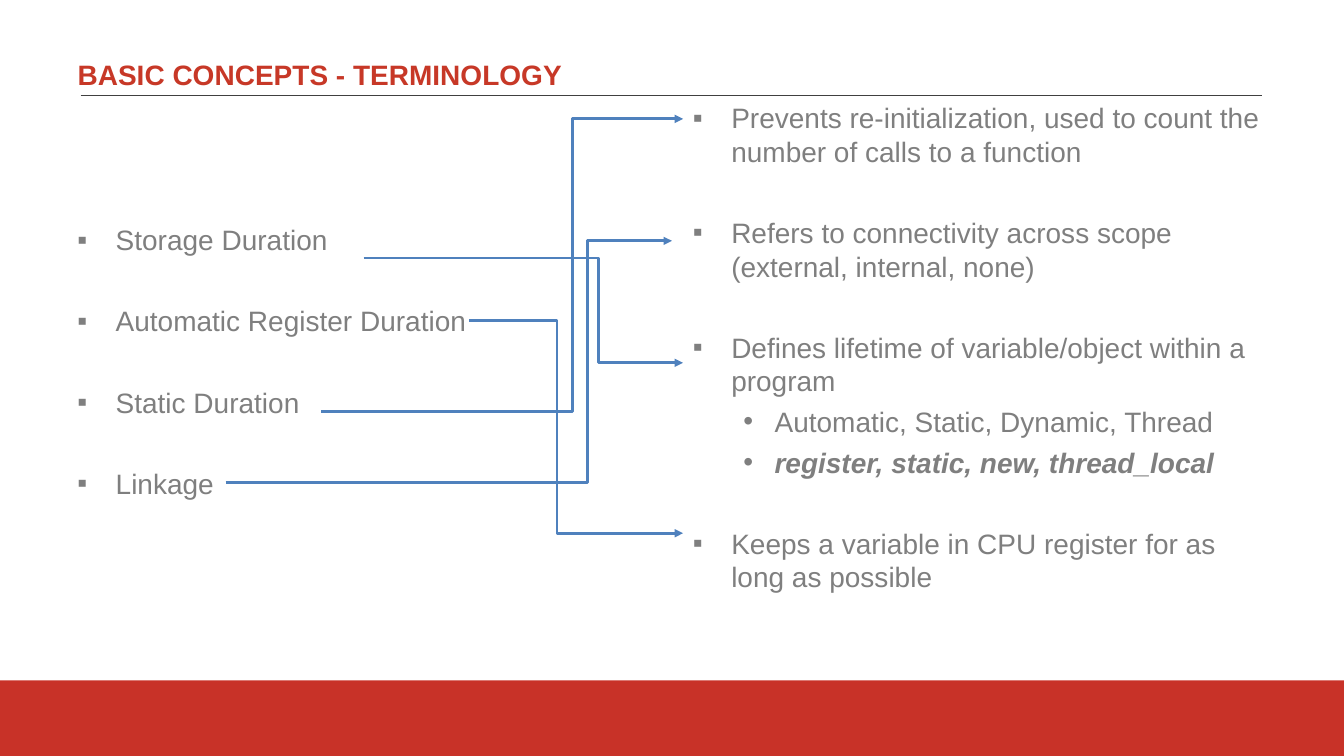
from lxml.etree import SubElement
from pptx import Presentation
from pptx.dml.color import RGBColor
from pptx.enum.shapes import MSO_CONNECTOR, MSO_SHAPE
from pptx.enum.text import MSO_ANCHOR, PP_ALIGN
from pptx.oxml.ns import qn
from pptx.util import Inches, Pt

FONT, RED, TITLE_RED, GREY, BLUE, RULE = "Arial", "C83228", "C73827", "7F7F7F", "4F81BD", "404040"
LEFT, TOP, COLUMN_WIDTH, COLUMN_HEIGHT = 0.67, 0.95, 5.89, 5.75
TERMS_LEFT, MEANINGS_LEFT = LEFT, 6.78
GAP, SUB_GAP = 34, 5

TERMS = ["Storage Duration", "Automatic Register Duration", "Static Duration", "Linkage"]
MEANINGS = [
    "Prevents re-initialization, used to count the number of calls to a function",
    "Refers to connectivity across scope (external, internal, none)",
    "Defines lifetime of variable/object within a program",
    ("Automatic, Static, Dynamic, Thread", False),
    ("register, static, new, thread_local", True),
    "Keeps a variable in CPU register for as long as possible",
]
MATCHES = [
    ((3.19, 4.08), 5.68, (6.78, 1.18)),
    ((2.24, 4.79), 5.83, (6.67, 2.39)),
    ((3.61, 2.56), 5.94, (6.78, 3.6)),
    ((4.66, 3.18), 5.53, (6.78, 5.29)),
]


def color(value):
    return RGBColor.from_string(value)


class TerminologySlide:
    """Holds the current slide and draws its elements in one style."""

    def __init__(self, deck):
        self.slide = deck.slides.add_slide(deck.slide_layouts[5])
        self.shapes = self.slide.shapes

    def style(self, font, value, bold=False, italic=False):
        font.name, font.size = FONT, Pt(20)
        font.bold, font.italic = bold, italic
        font.color.rgb = color(value)

    def title(self, text):
        heading = self.shapes.title
        heading.left, heading.top = Inches(LEFT), Inches(0.54)
        heading.width, heading.height = Inches(12), Inches(0.41)
        frame = heading.text_frame
        frame.text = text
        frame.vertical_anchor = MSO_ANCHOR.BOTTOM
        frame.paragraphs[0].alignment = PP_ALIGN.LEFT
        self.style(frame.paragraphs[0].runs[0].font, TITLE_RED, bold=True)

    def band(self, left, top, width, height):
        footer = self.shapes.add_shape(
            MSO_SHAPE.RECTANGLE, Inches(left), Inches(top), Inches(width), Inches(height))
        footer.shadow.inherit = False
        footer.fill.solid()
        footer.fill.fore_color.rgb = color(RED)
        footer.line.fill.background()

    def line(self, kind, start, end, value, width):
        connector = self.shapes.add_connector(kind, *map(Inches, start + end))
        connector.line.color.rgb = color(value)
        connector.line.width = Pt(width)
        SubElement(connector._element.spPr, qn("a:effectLst"))
        return connector

    def match(self, start, bend, end):
        arrow = self.line(MSO_CONNECTOR.ELBOW, start, end, BLUE, 2)
        SubElement(arrow.line._get_or_add_ln(), qn("a:tailEnd"), type="triangle")
        share = round((bend - start[0]) / (end[0] - start[0]) * 100000)
        guides = arrow._element.spPr.find(qn("a:prstGeom")).get_or_add_avLst()
        SubElement(guides, qn("a:gd"), name="adj1", fmla=f"val {share}")

    def bullet(self, paragraph, mark, margin, hanging):
        properties = paragraph._p.get_or_add_pPr()
        properties.set("marL", str(Inches(margin)))
        properties.set("indent", str(-Inches(hanging)))
        tint = SubElement(properties, qn("a:buClr"))
        SubElement(tint, qn("a:srgbClr"), val=GREY)
        SubElement(properties, qn("a:buFont"), typeface=FONT)
        SubElement(properties, qn("a:buChar"), char=mark)

    def column(self, left, entries, offset=0):
        box = self.shapes.add_textbox(
            Inches(left), Inches(TOP), Inches(COLUMN_WIDTH), Inches(COLUMN_HEIGHT))
        frame = box.text_frame
        frame.word_wrap = True
        frame.margin_top = Inches(0.05 + offset)
        for index, entry in enumerate(entries):
            nested = isinstance(entry, tuple)
            text, emphasis = entry if nested else (entry, False)
            paragraph = frame.add_paragraph() if index else frame.paragraphs[0]
            paragraph.text = text
            paragraph.line_spacing = Pt(24)
            if index:
                paragraph.space_before = Pt(SUB_GAP if nested else GAP)
            if nested:
                paragraph.level = 1
                self.bullet(paragraph, "•", 0.81, 0.31)
            else:
                self.bullet(paragraph, "▪", 0.38, 0.38)
            self.style(paragraph.runs[0].font, GREY, emphasis, emphasis)


def main():
    deck = Presentation()
    deck.slide_width, deck.slide_height = Inches(13.34), Inches(7.5)
    page = TerminologySlide(deck)
    page.band(0, 6.75, 13.34, 0.75)
    page.line(MSO_CONNECTOR.STRAIGHT, (0.8, TOP), (12.53, TOP), RULE, 1)
    page.title("BASIC CONCEPTS - TERMINOLOGY")
    page.column(TERMS_LEFT, TERMS, offset=1.21)
    page.column(MEANINGS_LEFT, MEANINGS)
    for start, bend, end in MATCHES:
        page.match(start, bend, end)
    deck.save("out.pptx")


if __name__ == "__main__":
    main()
